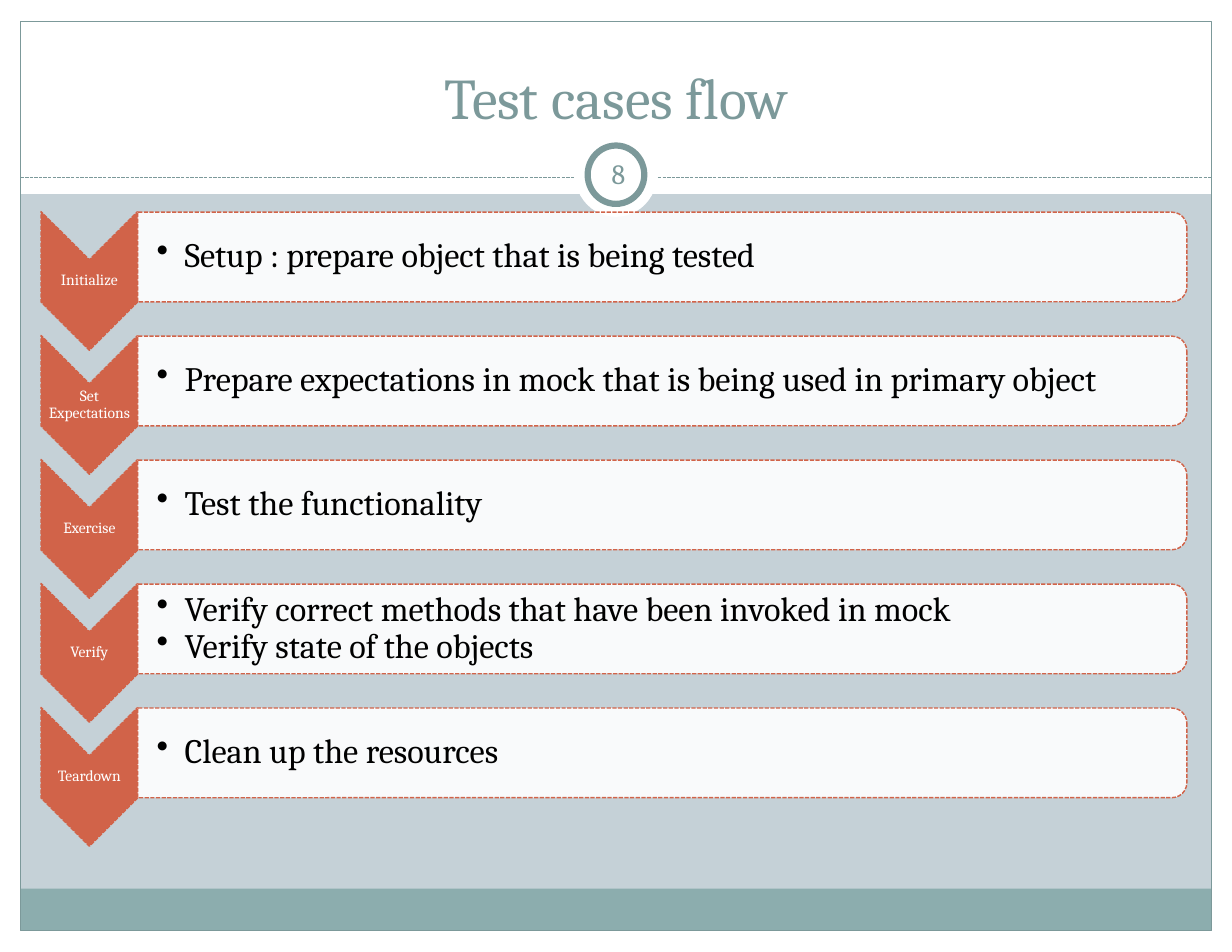
"""Build the "Test cases flow" slide: five chevron steps, each with its list."""
from dataclasses import dataclass

from lxml.etree import SubElement
from pptx import Presentation
from pptx.dml.color import RGBColor
from pptx.enum.dml import MSO_LINE
from pptx.enum.shapes import MSO_CONNECTOR, MSO_SHAPE
from pptx.enum.text import MSO_ANCHOR, PP_ALIGN
from pptx.oxml.ns import qn
from pptx.util import Inches, Pt


@dataclass(frozen=True)
class Theme:
    font: str = "Cambria"
    white: RGBColor = RGBColor(0xFF, 0xFF, 0xFF)
    black: RGBColor = RGBColor(0, 0, 0)
    back: RGBColor = RGBColor(0xC5, 0xD1, 0xD7)
    foot: RGBColor = RGBColor(0x8C, 0xAD, 0xAE)
    teal: RGBColor = RGBColor(0x7C, 0x99, 0x9A)
    accent: RGBColor = RGBColor(0xD1, 0x63, 0x49)
    title: float = 37
    number: float = 18
    label: float = 10
    body: float = 22


T = Theme()
STEPS = [
    ("Initialize", ["Setup : prepare object that is being tested"]),
    ("Set Expectations", ["Prepare expectations in mock that is being used in primary object"]),
    ("Exercise", ["Test the functionality"]),
    ("Verify", ["Verify correct methods that have been invoked in mock",
                "Verify state of the objects"]),
    ("Teardown", ["Clean up the resources"]),
]

prs = Presentation()
prs.slide_width, prs.slide_height = Inches(11), Inches(8.5)
COL, ROW = prs.slide_width / 60, prs.slide_height / 45
s = prs.slides.add_slide(prs.slide_layouts[5])
s.background.fill.solid()
s.background.fill.fore_color.rgb = T.back


def add_shape(kind, x, y, w, h, fill=None, line=None, width=0.75, dash=None, turned=False):
    """Add a shape at grid columns and rows, turned a quarter if asked."""
    x, y, w, h = x * COL, y * ROW, w * COL, h * ROW
    if turned:
        x, y, w, h = x + (w - h) / 2, y + (h - w) / 2, h, w
    sp = s.shapes.add_shape(kind, int(x), int(y), int(w), int(h))
    sp.rotation = 90 if turned else 0
    sp.shadow.inherit = False
    if fill is None:
        sp.fill.background()
    else:
        sp.fill.solid()
        sp.fill.fore_color.rgb = fill
    if line is None:
        sp.line.fill.background()
    else:
        sp.line.color.rgb = line
        sp.line.width = Pt(width)
        sp.line.dash_style = dash
    return sp


def set_text(sp, lines, size, color, inset, left=None, align=PP_ALIGN.CENTER,
             anchor=MSO_ANCHOR.MIDDLE, spacing=1.0):
    """Fill a text frame with evenly formatted paragraphs."""
    tf = sp.text_frame
    tf.word_wrap = True
    tf.vertical_anchor = anchor
    tf.margin_top = tf.margin_right = tf.margin_bottom = Inches(inset)
    tf.margin_left = Inches(inset if left is None else left)
    tf.text = "\n".join(lines)
    for p in tf.paragraphs:
        p.alignment = align
        p.line_spacing = spacing
        p.space_before = p.space_after = Pt(0)
        p.font.name, p.font.size, p.font.color.rgb = T.font, Pt(size), color
    return tf


for x, y, w, h in [(0, 44, 60, 1), (0, 0, 60, 9.16), (0, 0, 1, 45), (59, 0, 1, 45)]:
    add_shape(MSO_SHAPE.RECTANGLE, x, y, w, h, T.white)
add_shape(MSO_SHAPE.RECTANGLE, 1, 42, 58, 2, T.foot)
add_shape(MSO_SHAPE.RECTANGLE, 1, 1, 58, 43, line=T.teal)

rule = s.shapes.add_connector(MSO_CONNECTOR.STRAIGHT, int(COL), int(8.4 * ROW),
                              int(59 * COL), int(8.4 * ROW))
rule.line.color.rgb, rule.line.width = T.teal, Pt(0.75)
rule.line.dash_style = MSO_LINE.SQUARE_DOT
SubElement(rule._element.spPr, qn("a:effectLst"))

add_shape(MSO_SHAPE.OVAL, 28, 6.25, 4, 4, T.white)
add_shape(MSO_SHAPE.OVAL, 28.62, 6.88, 2.76, 2.76, T.white, T.teal, 4)

title = s.shapes.title
title.left, title.top = int(2 * COL), int(1.5 * ROW)
title.width, title.height = int(56 * COL), int(5 * ROW)
set_text(title, ["Test cases flow"], T.title, T.teal, 0.06, 0.06, anchor=MSO_ANCHOR.BOTTOM)
s.shapes._spTree.append(title._element)

number = s.shapes.add_textbox(int(28.62 * COL), int(6.72 * ROW), int(3 * COL), int(2.9 * ROW))
set_text(number, ["8"], T.number, T.teal, 0.06)

for i, (label, items) in enumerate(STEPS):
    y = 10 + 5.86 * i
    add_shape(MSO_SHAPE.CHEVRON, 2, y, 4.7, 6.56, T.accent, T.accent, 0.9,
              MSO_LINE.SQUARE_DOT, turned=True)
    sp = s.shapes.add_textbox(int(2 * COL), int((y + 2.3) * ROW), int(4.7 * COL), int(1.96 * ROW))
    set_text(sp, [label], T.label, T.white, 0.01, spacing=0.9)

    bar = add_shape(MSO_SHAPE.ROUND_2_SAME_RECTANGLE, 6.7, y + 0.03, 51.1, 4.24, T.white,
                    T.accent, 0.9, MSO_LINE.SQUARE_DOT, turned=True)
    color = bar._element.spPr.find(qn("a:solidFill"))[0]
    SubElement(color, qn("a:alpha"), val="90000")
    sp = s.shapes.add_textbox(int(6.7 * COL), int((y + 0.23) * ROW),
                              int(50.9 * COL), int(3.83 * ROW))
    tf = set_text(sp, items, T.body, T.black, 0.02, 0.17, PP_ALIGN.LEFT, spacing=0.9)
    for p in tf.paragraphs:
        pPr = p._p.get_or_add_pPr()
        pPr.set("marL", str(Inches(0.25)))
        pPr.set("indent", str(-Inches(0.25)))
        bullet = pPr.makeelement(qn("a:buChar"), {"char": "•"})
        pPr.find(qn("a:defRPr")).addprevious(bullet)

prs.save("out.pptx")
